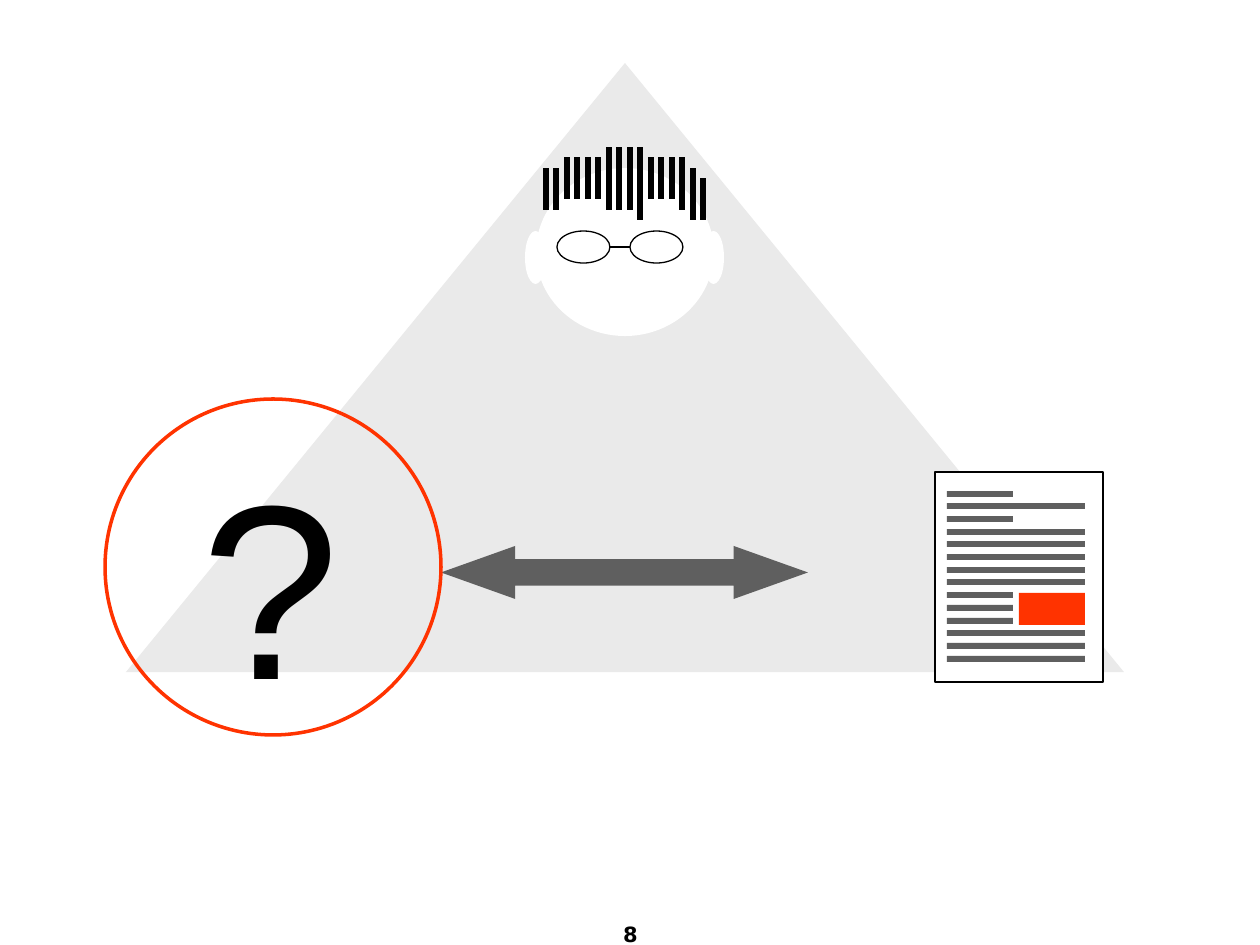
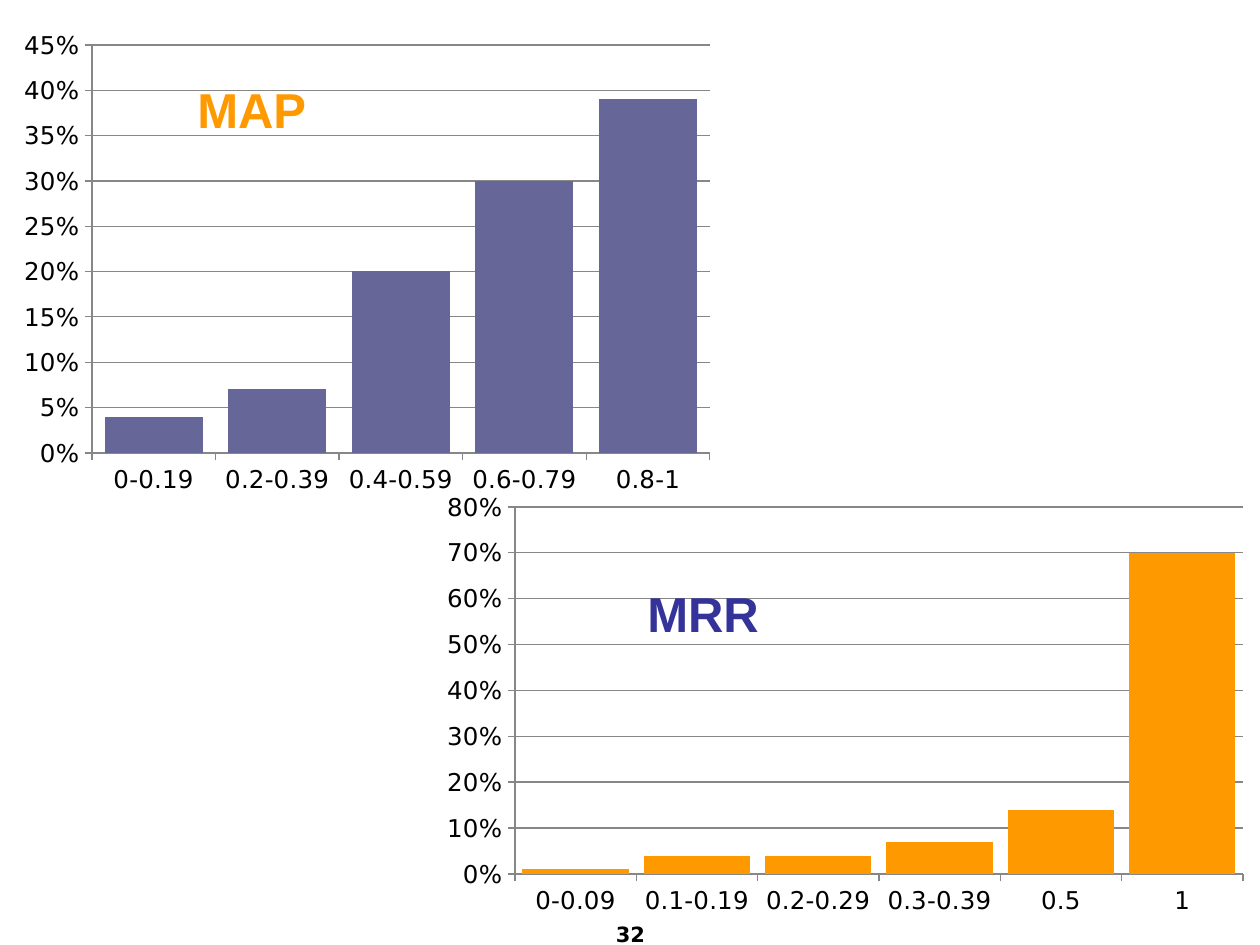
from lxml import etree
from pptx import Presentation
from pptx.chart.data import CategoryChartData
from pptx.dml.color import RGBColor
from pptx.enum.chart import XL_CHART_TYPE, XL_TICK_MARK
from pptx.enum.shapes import MSO_CONNECTOR, MSO_SHAPE as Sh
from pptx.enum.text import MSO_ANCHOR, PP_ALIGN
from pptx.oxml import parse_xml
from pptx.oxml.ns import nsdecls, qn
from pptx.util import Pt

EMU_PER_PX = 914400 / 126

BLACK = RGBColor(0x00, 0x00, 0x00)
WHITE = RGBColor(0xFF, 0xFF, 0xFF)
PALE = RGBColor(0xEA, 0xEA, 0xEA)
GRAY = RGBColor(0x5F, 0x5F, 0x5F)
AXIS = RGBColor(0x87, 0x87, 0x87)
RED = RGBColor(0xFF, 0x33, 0x00)
ORANGE = RGBColor(0xFF, 0x99, 0x00)
SLATE = RGBColor(0x66, 0x66, 0x99)
INDIGO = RGBColor(0x33, 0x33, 0x99)

BODY_FONT = "Arial"
LABEL_FONT = "DejaVu Sans"

HAIR_LEVELS = [(2,), (2,), (1,), (1,), (1,), (1,), (0, 2), (0, 2),
               (0, 2), (0, 2, 3), (1,), (1,), (1,), (1, 2), (2, 3), (3,)]
TEXT_LINES = 14
SHORT_LINES = {0, 2, 8, 9, 10}


def px(*lengths):
    return [round(n * EMU_PER_PX) for n in lengths]


def add_shape(shapes, kind, box, fill=None, line=None, width=0.75):
    sp = shapes.add_shape(kind, *px(*box))
    sp.shadow.inherit = False
    if fill is None:
        sp.fill.background()
    else:
        sp.fill.solid()
        sp.fill.fore_color.rgb = fill
    if line is None:
        sp.line.fill.background()
    else:
        sp.line.color.rgb = line
        sp.line.width = Pt(width)
    return sp


def add_line(shapes, x1, y1, x2, y2, width):
    cx = shapes.add_connector(MSO_CONNECTOR.STRAIGHT, *px(x1, y1, x2, y2))
    cx.line.color.rgb = BLACK
    cx.line.width = Pt(width)
    etree.SubElement(cx._element.spPr, qn("a:effectLst"))


def add_text(s, box, text, size, color, font=BODY_FONT, bold=False):
    tf = s.shapes.add_textbox(*px(*box)).text_frame
    tf.word_wrap = True
    p = tf.paragraphs[0]
    p.text = text
    p.font.name = font
    p.font.size = Pt(size)
    p.font.bold = bold
    p.font.color.rgb = color
    return tf


def add_slide(prs, number):
    s = prs.slides.add_slide(prs.slide_layouts[6])
    tf = add_text(s, (590, 890, 81, 63), number, 12, BLACK, LABEL_FONT, True)
    tf.vertical_anchor = MSO_ANCHOR.BOTTOM
    tf.paragraphs[0].alignment = PP_ALIGN.CENTER
    return s


def draw_head(s, x, y):
    shapes = s.shapes.add_group_shape().shapes
    add_shape(shapes, Sh.OVAL, (x + 11, y + 21, 178, 168), WHITE)
    for lens in (32, 105):
        add_shape(shapes, Sh.OVAL, (x + lens, y + 84, 53, 32), WHITE, BLACK)
    add_line(shapes, x + 84, y + 100, x + 105, y + 100, 0.75)
    for ear in (0, 178):
        add_shape(shapes, Sh.OVAL, (x + ear, y + 84, 21, 53), WHITE)
    for column, levels in enumerate(HAIR_LEVELS):
        hair_x = x + 21 + column * 21 // 2
        for level in levels:
            top = y + level * 21 // 2
            add_line(shapes, hair_x, top + 42, hair_x, top, 3)


def draw_document(s, x, y):
    shapes = s.shapes.add_group_shape().shapes
    add_shape(shapes, Sh.RECTANGLE, (x, y, 168, 210), WHITE, BLACK)
    for i in range(TEXT_LINES):
        width = 66 if i in SHORT_LINES else 138
        add_shape(shapes, Sh.RECTANGLE,
                  (x + 12, y + 19 + i * 127 // 10, width, 6), GRAY)
    add_shape(shapes, Sh.RECTANGLE, (x + 84, y + 121, 66, 32), RED)


def draw_question(s, x, y):
    tf = add_text(s, (x + 84, y + 26, 179, 311), "?", 142, BLACK)
    tf.paragraphs[0].space_before = Pt(13)
    add_shape(s.shapes, Sh.OVAL, (x, y, 336, 336), line=RED, width=2)


def build_triangle_slide(prs):
    s = add_slide(prs, "8")
    add_shape(s.shapes, Sh.ISOSCELES_TRIANGLE, (126, 63, 998, 609), PALE)
    draw_head(s, 525, 147)
    arrow = add_shape(s.shapes, Sh.LEFT_RIGHT_ARROW, (441, 546, 367, 53), GRAY)
    arrow.adjustments[0] = 0.5
    arrow.adjustments[1] = 1.4
    draw_document(s, 935, 472)
    draw_question(s, 105, 399)


def set_plot_area(chart, box, plot):
    ratios = (plot[0] / box[2], plot[1] / box[3],
              plot[2] / box[2], plot[3] / box[3])
    parts = "".join(f'<c:{tag} val="{ratio:.4f}"/>'
                    for tag, ratio in zip("xywh", ratios))
    layout = parse_xml(
        f'<c:layout {nsdecls("c")}><c:manualLayout>'
        '<c:layoutTarget val="inner"/>'
        '<c:xMode val="edge"/><c:yMode val="edge"/>'
        f'{parts}</c:manualLayout></c:layout>')
    plot_area = chart._chartSpace.chart.plotArea
    for old in plot_area.findall(qn("c:layout")):
        plot_area.remove(old)
    plot_area.insert(0, layout)


def draw_histogram(s, box, plot, values, color, gap, top, step):
    data = CategoryChartData(number_format="0%")
    data.categories = list(values)
    data.add_series("Series 1", list(values.values()))
    chart = s.shapes.add_chart(
        XL_CHART_TYPE.COLUMN_CLUSTERED, *px(*box), data).chart
    chart.has_legend = False
    chart.has_title = False
    chart.font.name = LABEL_FONT
    chart.font.size = Pt(10)
    chart.font.color.rgb = BLACK
    set_plot_area(chart, box, plot)

    bars = chart.plots[0]
    bars.gap_width = gap
    bars.vary_by_categories = False
    fill = bars.series[0].format.fill
    fill.solid()
    fill.fore_color.rgb = color

    for axis in (chart.category_axis, chart.value_axis):
        axis.major_tick_mark = XL_TICK_MARK.OUTSIDE
        axis.minor_tick_mark = XL_TICK_MARK.NONE
        axis.tick_labels.font.size = Pt(14)
        axis.format.line.color.rgb = AXIS
    axis = chart.value_axis
    axis.minimum_scale = 0
    axis.maximum_scale = top
    axis.major_unit = step
    axis.tick_labels.number_format = "0%"
    axis.tick_labels.number_format_is_linked = False
    axis.has_major_gridlines = True
    axis.major_gridlines.format.line.color.rgb = AXIS


def build_histogram_slide(prs):
    s = add_slide(prs, "32")
    draw_histogram(
        s, (10, 21, 714, 483), (82, 24, 618, 408),
        {"0-0.19": 0.04, "0.2-0.39": 0.07, "0.4-0.59": 0.2,
         "0.6-0.79": 0.3, "0.8-1": 0.39},
        SLATE, 26, 0.45, 0.05)
    add_text(s, (185, 73, 179, 72), "MAP", 28, ORANGE, bold=True)
    draw_histogram(
        s, (431, 483, 829, 441), (84, 24, 728, 367),
        {"0-0.09": 0.01, "0.1-0.19": 0.04, "0.2-0.29": 0.04,
         "0.3-0.39": 0.07, "0.5": 0.14, "1": 0.7},
        ORANGE, 14, 0.8, 0.1)
    add_text(s, (635, 577, 179, 72), "MRR", 28, INDIGO, bold=True)


def main():
    prs = Presentation()
    prs.slide_width, prs.slide_height = px(1260, 945)
    build_triangle_slide(prs)
    build_histogram_slide(prs)
    prs.save("out.pptx")


if __name__ == "__main__":
    main()
